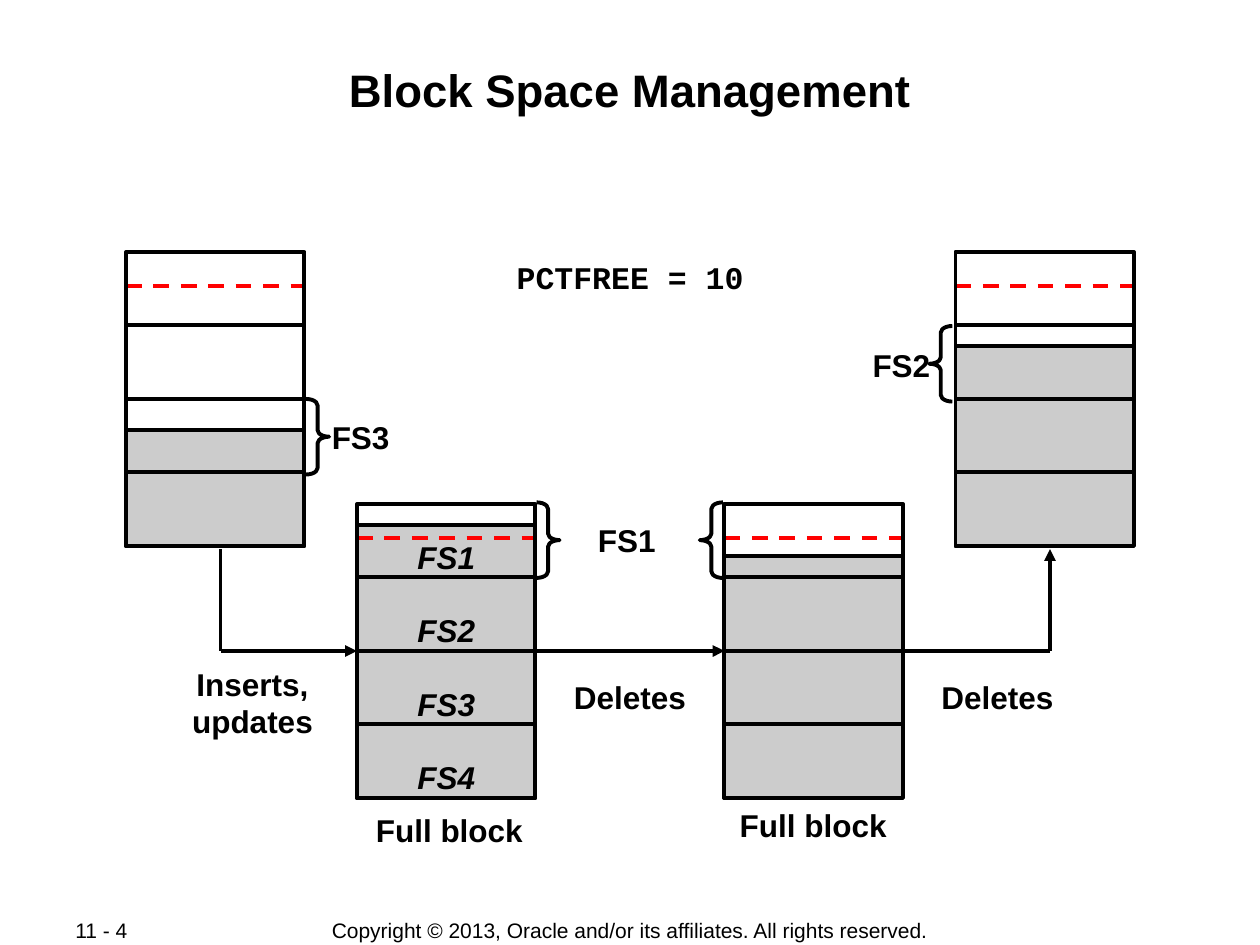
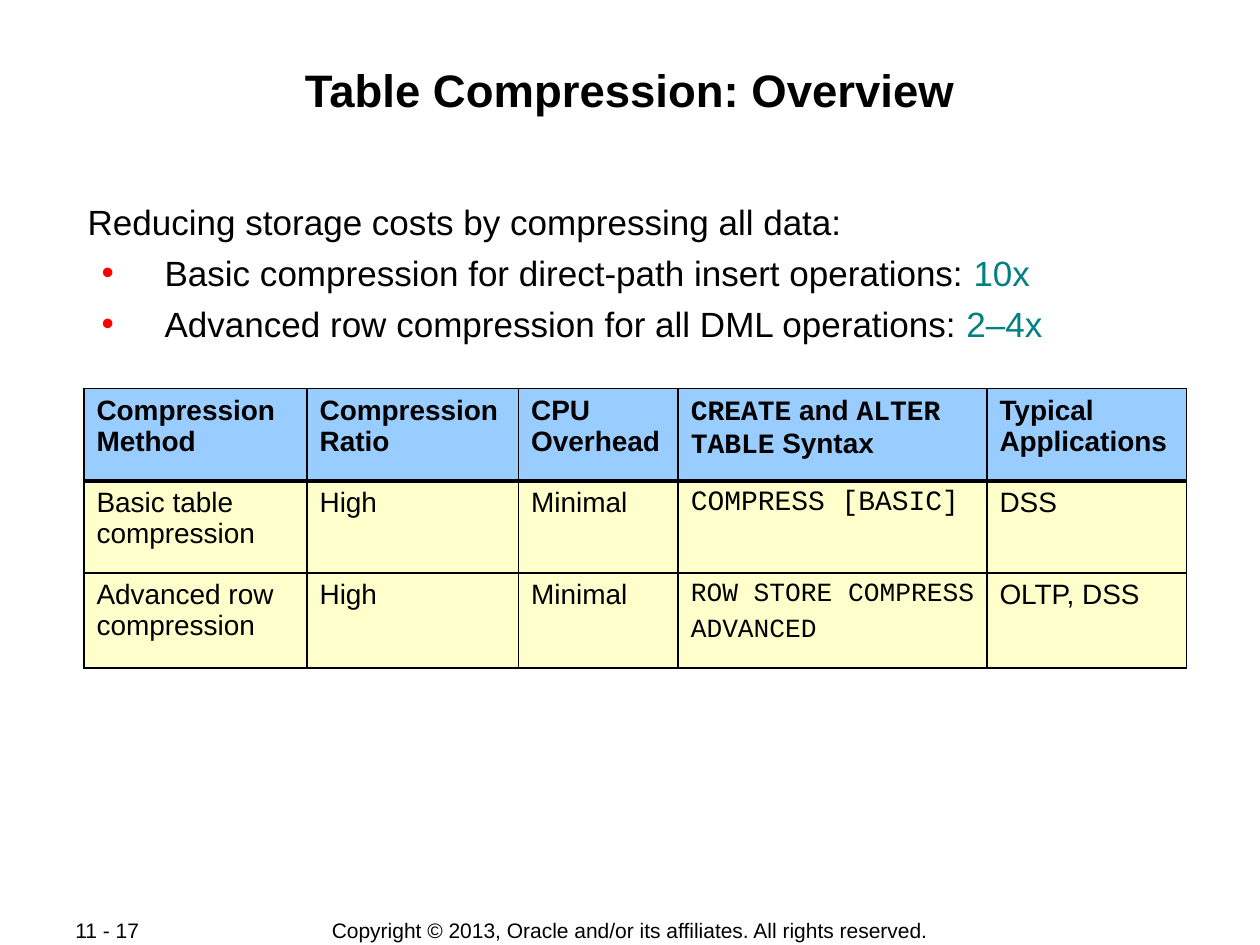
"""Build two slides on block space management and table compression."""
from dataclasses import dataclass, replace

from lxml import etree
from pptx import Presentation
from pptx import util as u
from pptx.dml import color
from pptx.enum import dml, shapes, text
from pptx.oxml import ns

COLS, ROWS = 120, 90
WIDTH, HEIGHT = u.Inches(10), u.Inches(7.5)
BLACK, WHITE, RED, TEAL = "000000", "FFFFFF", "FF0000", "008080"
GREY, BLUE, CREAM = "CCCCCC", "99CCFF", "FFFFCC"
SANS, MONO = "Arial", "Courier New"
LINE = 2.25
BLOCK_W, BAND_H, BANDS, LIMIT = 17, 7, 4, 3.2
FLOW_Y, BLOCK_FOOT = 62, 52.3
LEFT, CENTER = text.PP_ALIGN.LEFT, text.PP_ALIGN.CENTER
COPYRIGHT = "Copyright © 2013, Oracle and/or its affiliates. All rights reserved."


@dataclass(frozen=True)
class Area:
    """A rectangle in grid columns and rows."""
    x: float
    y: float
    w: float
    h: float

    def emu(self) -> tuple:
        """Return left, top, width and height as lengths."""
        return gx(self.x), gy(self.y), gx(self.w), gy(self.h)


@dataclass(frozen=True)
class Run:
    """A piece of text in one style."""
    words: str
    size: float = 18
    bold: bool = False
    font: str = SANS
    ink: str = BLACK
    italic: bool = False


@dataclass(frozen=True)
class Label:
    """A centred bold caption."""
    words: str
    area: Area
    font: str = SANS


@dataclass(frozen=True)
class Block:
    """A data block with its top left corner and the row where data starts."""
    x: float
    y: float
    data_y: float


@dataclass(frozen=True)
class Brace:
    """A curly brace beside a block."""
    x: float
    y: float
    kind: shapes.MSO_SHAPE


@dataclass(frozen=True)
class Flow:
    """A straight line of the process, with or without an arrowhead."""
    x1: float
    y1: float
    x2: float
    y2: float
    arrow: bool = False


BLOCKS = (Block(12, 24, 41), Block(34, 48, 50), Block(69, 48, 53), Block(91, 24, 33))
FLOWS = (
    Flow(21, FLOW_Y, 34, FLOW_Y, True),
    Flow(51, FLOW_Y, 69, FLOW_Y, True),
    Flow(21, FLOW_Y, 21, BLOCK_FOOT),
    Flow(85, FLOW_Y, 100, FLOW_Y),
    Flow(100, FLOW_Y, 100, BLOCK_FOOT, True),
)
BRACES = (
    Brace(88.5, 31.05, shapes.MSO_SHAPE.LEFT_BRACE),
    Brace(29.15, 38, shapes.MSO_SHAPE.RIGHT_BRACE),
    Brace(51.1, 47.85, shapes.MSO_SHAPE.RIGHT_BRACE),
    Brace(66.65, 47.85, shapes.MSO_SHAPE.LEFT_BRACE),
)
LABELS = (
    Label("PCTFREE = 10", Area(46, 24, 28, 4.8), MONO),
    Label("Inserts,\nupdates", Area(17.1, 62.7, 13.9, 8.4)),
    Label("Deletes", Area(52, 64, 16, 4.8)),
    Label("Deletes", Area(87, 64, 16, 4.8)),
    Label("Full block", Area(33.15, 76.65, 19.3, 4.8)),
    Label("Full block", Area(67.8, 76.2, 19.3, 4.8)),
    Label("FS2", Area(81.35, 32.35, 9, 4.8)),
    Label("FS3", Area(29.85, 39.2, 9, 4.8)),
    Label("FS1", Area(55.2, 49, 9, 4.8)),
)

TABLE = Area(8, 37, 105, 26.6)
TABLE_COLS = (21.25, 20.15, 15.2, 29.4, 19)
TABLE_ROWS = (8.8, 8.8, 9)
CELL = Run("", 16)
HEAD = replace(CELL, bold=True)
CODE = replace(CELL, font=MONO)
HEAD_CODE = replace(HEAD, font=MONO)
SMALL_CODE = replace(CODE, size=15)


def styled(style: Run, *lines: str) -> list:
    """Return one paragraph of one run for each line."""
    return [[replace(style, words=line)] for line in lines]


SYNTAX_HEAD = [[
    replace(HEAD_CODE, words="CREATE"), replace(HEAD, words=" and "),
    replace(HEAD_CODE, words="ALTER TABLE"), replace(HEAD, words=" Syntax"),
]]
TABLE_CELLS = (
    (styled(HEAD, "Compression Method"), styled(HEAD, "Compression Ratio"),
     styled(HEAD, "CPU Overhead"), SYNTAX_HEAD, styled(HEAD, "Typical Applications")),
    (styled(CELL, "Basic table compression"), styled(CELL, "High"),
     styled(CELL, "Minimal"), styled(CODE, "COMPRESS [BASIC]"), styled(CELL, "DSS")),
    (styled(CELL, "Advanced row compression"), styled(CELL, "High"),
     styled(CELL, "Minimal"), styled(SMALL_CODE, "ROW STORE COMPRESS", "ADVANCED"),
     styled(CELL, "OLTP, DSS")),
)
BODY = (
    [Run("Reducing storage costs by compressing all data:", 20)],
    [Run("Basic compression for direct-path insert operations: ", 20), Run("10x", 20, ink=TEAL)],
    [Run("Advanced row compression for all DML operations: ", 20), Run("2–4x", 20, ink=TEAL)],
)


def gx(cols: float) -> int:
    """Turn grid columns into a length."""
    return round(WIDTH * cols / COLS)


def gy(rows: float) -> int:
    """Turn grid rows into a length."""
    return round(HEIGHT * rows / ROWS)


def rgb(value: str) -> color.RGBColor:
    """Turn a hex string into a colour."""
    return color.RGBColor.from_string(value)


def child(parent, tag: str, **attrs: str):
    """Append a DrawingML element."""
    return etree.SubElement(parent, ns.qn(tag), attrs)


def write(tf, paragraphs, align=LEFT, gap: float = 0) -> None:
    """Fill a text frame run by run."""
    for i, runs in enumerate(paragraphs):
        p = tf.add_paragraph() if i else tf.paragraphs[0]
        p.alignment = align
        p.space_before = u.Pt(gap if i else 0)
        for run in runs:
            for j, line in enumerate(run.words.split("\n")):
                if j:
                    p.add_line_break()
                r = p.add_run()
                r.text = line
                r.font.size, r.font.name = u.Pt(run.size), run.font
                r.font.bold, r.font.italic = run.bold, run.italic
                r.font.color.rgb = rgb(run.ink)


def add_text(s, area: Area, paragraphs, align=LEFT, gap: float = 0, side: float = 0.1,
             top: float = 0.05, anchor=text.MSO_ANCHOR.TOP):
    """Add a text box and return its frame."""
    tf = s.shapes.add_textbox(*area.emu()).text_frame
    tf.word_wrap, tf.vertical_anchor = True, anchor
    tf.margin_left = tf.margin_right = u.Inches(side)
    tf.margin_top, tf.margin_bottom = u.Inches(top), u.Inches(min(side, 0.05))
    write(tf, paragraphs, align, gap)
    return tf


def add_outline(s, kind, area: Area, fill: str = ""):
    """Add a black outlined shape, hollow unless a fill is given."""
    sp = s.shapes.add_shape(kind, *area.emu())
    sp.shadow.inherit = False
    if fill:
        sp.fill.solid()
        sp.fill.fore_color.rgb = rgb(fill)
    else:
        sp.fill.background()
    sp.line.color.rgb, sp.line.width = rgb(BLACK), u.Pt(LINE)
    return sp


def add_line(s, flow: Flow, ink: str = BLACK, dashed: bool = False) -> None:
    """Add a straight connector."""
    sp = s.shapes.add_connector(shapes.MSO_CONNECTOR.STRAIGHT, gx(flow.x1), gy(flow.y1),
                                gx(flow.x2), gy(flow.y2))
    sp.line.color.rgb, sp.line.width = rgb(ink), u.Pt(LINE)
    if dashed:
        sp.line.dash_style = dml.MSO_LINE.DASH
    if flow.arrow:
        child(sp.line._get_or_add_ln(), "a:tailEnd", type="triangle")
    child(sp._element.spPr, "a:effectLst")


def add_block(s, block: Block) -> None:
    """Draw the used space, the free space limit and the bands of a block."""
    rect = shapes.MSO_SHAPE.RECTANGLE
    foot = block.y + BANDS * BAND_H
    add_outline(s, rect, Area(block.x, block.data_y, BLOCK_W, foot - block.data_y), GREY)
    limit = block.y + LIMIT
    add_line(s, Flow(block.x, limit, block.x + BLOCK_W, limit), RED, True)
    for i in range(BANDS):
        add_outline(s, rect, Area(block.x, block.y + i * BAND_H, BLOCK_W, BAND_H))


def add_slide(prs, title: str, page: str):
    """Add a blank slide with title, page number and footer."""
    s = prs.slides.add_slide(prs.slide_layouts[6])
    s.background.fill.solid()
    s.background.fill.fore_color.rgb = rgb(WHITE)
    middle = text.MSO_ANCHOR.MIDDLE
    add_text(s, Area(29, 87.35, 62, 2.5), [[Run(COPYRIGHT, 12)]], CENTER, anchor=middle)
    add_text(s, Area(6, 87.35, 12.7, 2.4), [[Run(page, 12)]], anchor=middle)
    add_text(s, Area(8, 5.75, 104, 11.5), [[Run(title, 26, True)]], CENTER, side=0.01, top=0.01)
    return s


def add_bullet(p) -> None:
    """Give a paragraph a hanging red bullet."""
    p.level = 1
    pPr = p._p.get_or_add_pPr()
    pPr.set("marL", str(u.Inches(0.63)))
    pPr.set("indent", str(u.Inches(-0.5)))
    child(child(pPr, "a:buClr"), "a:srgbClr", val=RED)
    child(pPr, "a:buFont", typeface=SANS)
    child(pPr, "a:buChar", char="•")


def add_border(cell, side: str, width: float) -> None:
    """Draw one black cell border."""
    ln = child(cell._tc.get_or_add_tcPr(), f"a:ln{side}", w=str(u.Pt(width)))
    child(child(ln, "a:solidFill"), "a:srgbClr", val=BLACK)


def add_compression_table(s) -> None:
    """Add the table that compares the compression methods."""
    table = s.shapes.add_table(len(TABLE_ROWS), len(TABLE_COLS), *TABLE.emu()).table
    thick = {(0, "B"), (1, "T")}
    for col, width in zip(table.columns, TABLE_COLS):
        col.width = gx(width)
    for i, (row, height) in enumerate(zip(table.rows, TABLE_ROWS)):
        row.height = gy(height)
        for cell, paragraphs in zip(row.cells, TABLE_CELLS[i]):
            for side in "LRTB":
                add_border(cell, side, 2.21 if (i, side) in thick else 1.08)
            cell.fill.solid()
            cell.fill.fore_color.rgb = rgb(CREAM if i else BLUE)
            write(cell.text_frame, paragraphs, gap=3.7)


def build_block_slide(prs) -> None:
    """Build the slide that follows a block through inserts and deletes."""
    s = add_slide(prs, "Block Space Management", "11 - 4")
    for flow in FLOWS:
        add_line(s, flow)
    for block in BLOCKS:
        add_block(s, block)
    for brace in BRACES:
        sp = add_outline(s, brace.kind, Area(brace.x, brace.y, 2.2, 7.2))
        sp.adjustments[0] = 0.28
    for label in LABELS:
        add_text(s, label.area, [[Run(label.words, bold=True, font=label.font)]], CENTER)
    for i in range(BANDS):
        add_text(s, Area(38, 50.65 + i * BAND_H, 9, 4.8),
                 [[Run(f"FS{i + 1}", bold=True, italic=True)]], CENTER)


def build_compression_slide(prs) -> None:
    """Build the slide that compares compression methods."""
    s = add_slide(prs, "Table Compression: Overview", "11 - 17")
    tf = add_text(s, Area(8, 19, 104, 14), BODY, gap=5, side=0.01, top=0.01)
    pPr = tf.paragraphs[0]._p.get_or_add_pPr()
    for name in ("marL", "indent"):
        pPr.set(name, str(u.Inches(0.01)))
    for p in tf.paragraphs[1:]:
        add_bullet(p)
    add_compression_table(s)


def main() -> None:
    """Build and save the presentation."""
    prs = Presentation()
    prs.slide_width, prs.slide_height = WIDTH, HEIGHT
    build_block_slide(prs)
    build_compression_slide(prs)
    prs.save("out.pptx")


if __name__ == "__main__":
    main()
